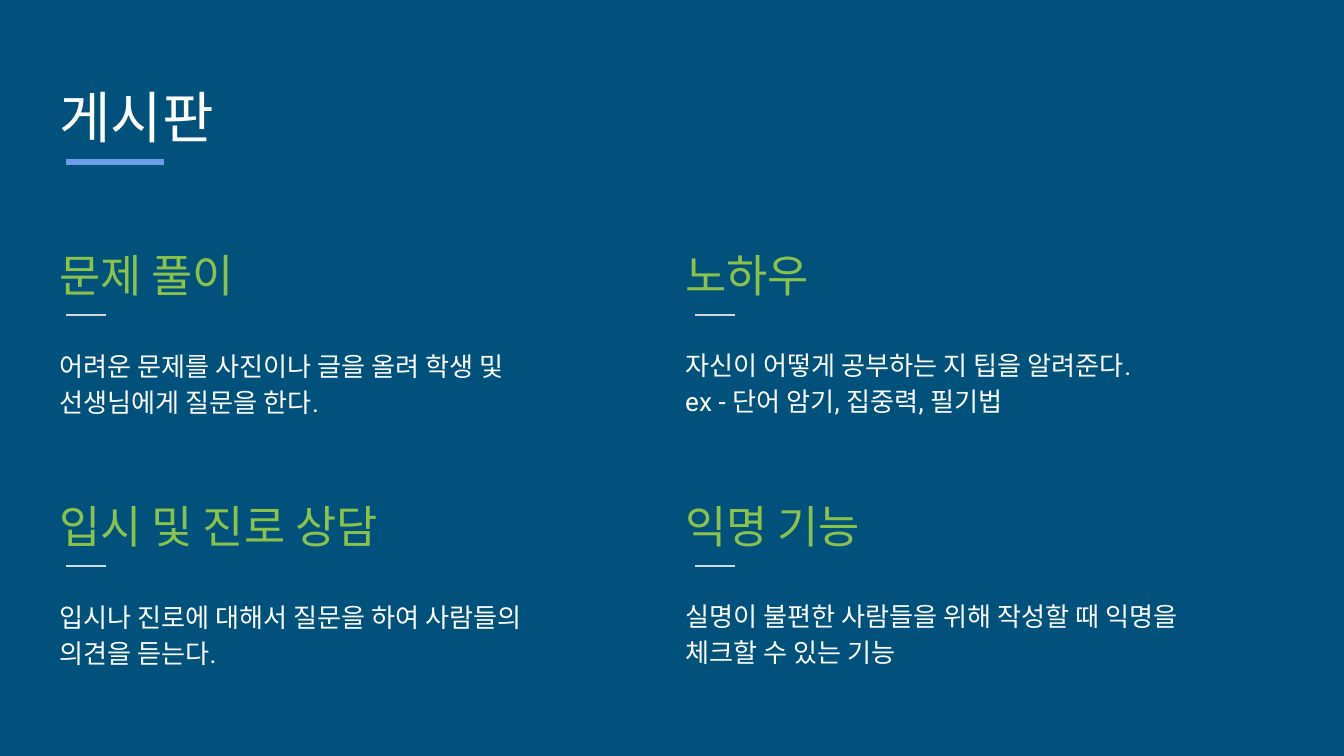
import pptx
import pptx.dml.color
import pptx.enum.shapes
import pptx.enum.text
import pptx.oxml.ns
import pptx.util
from lxml import etree

EMU_PER_PX = 914400 / 134.4

BACKGROUND = "00517C"
WHITE = "FFFFFF"
GREEN = "8BC34A"
GREY = "CFD8DC"
BLUE = "6D9EEB"


def px(length):
    return pptx.util.Emu(round(length * EMU_PER_PX))


def color(hex_string):
    return pptx.dml.color.RGBColor.from_string(hex_string)


class Board:
    """Holds the style and the current slide."""

    body_font = "Roboto"
    title_font = "Roboto Slab"
    inset = pptx.util.Inches(0.1)

    def __init__(self, presentation):
        self.slide = presentation.slides.add_slide(presentation.slide_layouts[6])
        fill = self.slide.background.fill
        fill.solid()
        fill.fore_color.rgb = color(BACKGROUND)

    def text(self, box, lines, size, hex_color, font=body_font,
             line_spacing=1.15, space_after=0, anchor="TOP"):
        shape = self.slide.shapes.add_textbox(*map(px, box))
        frame = shape.text_frame
        frame.word_wrap = True
        frame.vertical_anchor = pptx.enum.text.MSO_ANCHOR[anchor]
        frame.margin_left = frame.margin_right = self.inset
        frame.margin_top = frame.margin_bottom = self.inset
        frame.text = "\n".join(lines)
        for paragraph in frame.paragraphs:
            paragraph.line_spacing = line_spacing
            paragraph.space_after = pptx.util.Pt(space_after)
            for run in paragraph.runs:
                run.font.name = font
                run.font.size = pptx.util.Pt(size)
                run.font.color.rgb = color(hex_color)

    def title(self, box, words):
        self.text(box, [words], 30, WHITE, font=self.title_font,
                  line_spacing=1.0, anchor="BOTTOM")

    def heading(self, box, words):
        self.text(box, [words], 24, GREEN, space_after=16)

    def body(self, box, lines):
        self.text(box, lines, 14, WHITE, space_after=16 if len(lines) == 1 else 0)

    def rule(self, left, top, length, hex_color, weight):
        connector = self.slide.shapes.add_connector(
            pptx.enum.shapes.MSO_CONNECTOR.STRAIGHT,
            px(left), px(top), px(left + length), px(top))
        connector.line.color.rgb = color(hex_color)
        connector.line.width = pptx.util.Pt(weight)
        etree.SubElement(connector._element.spPr, pptx.oxml.ns.qn("a:effectLst"))


# Grid: text left, rule left and body offset for each column
COLUMNS = [(46, 66, 106), (672, 695, 105)]
ROW_TOPS = [226, 477]
RULE_OFFSET = 89

# Heading, heading width and body lines, row by row
SECTIONS = [
    [("문제 풀이", 285, ["어려운 문제를 사진이나 글을 올려 학생 및 선생님에게 질문을 한다."]),
     ("노하우", 431, ["자신이 어떻게 공부하는 지 팁을 알려준다.",
                   "ex - 단어 암기, 집중력, 필기법"])],
    [("입시 및 진로 상담", 431, ["입시나 진로에 대해서 질문을 하여 사람들의 의견을 듣는다."]),
     ("익명 기능", 294, ["실명이 불편한 사람들을 위해 작성할 때 익명을 체크할 수 있는 기능"])],
]


def main():
    presentation = pptx.Presentation()
    presentation.slide_width = px(1344)
    presentation.slide_height = px(756)
    board = Board(presentation)

    # Title
    board.title((46, 55, 394, 108), "게시판")
    board.rule(66, 162, 98, BLUE, 3)

    # Four sections
    for top, row in zip(ROW_TOPS, SECTIONS):
        for (left, rule_left, body_offset), (heading, width, lines) in zip(COLUMNS, row):
            board.heading((left, top, width, 77), heading)
            board.rule(rule_left, top + RULE_OFFSET, 40, GREY, 0.75)
            board.body((left, top + body_offset, 566, 117), lines)

    presentation.save("out.pptx")


if __name__ == "__main__":
    main()
